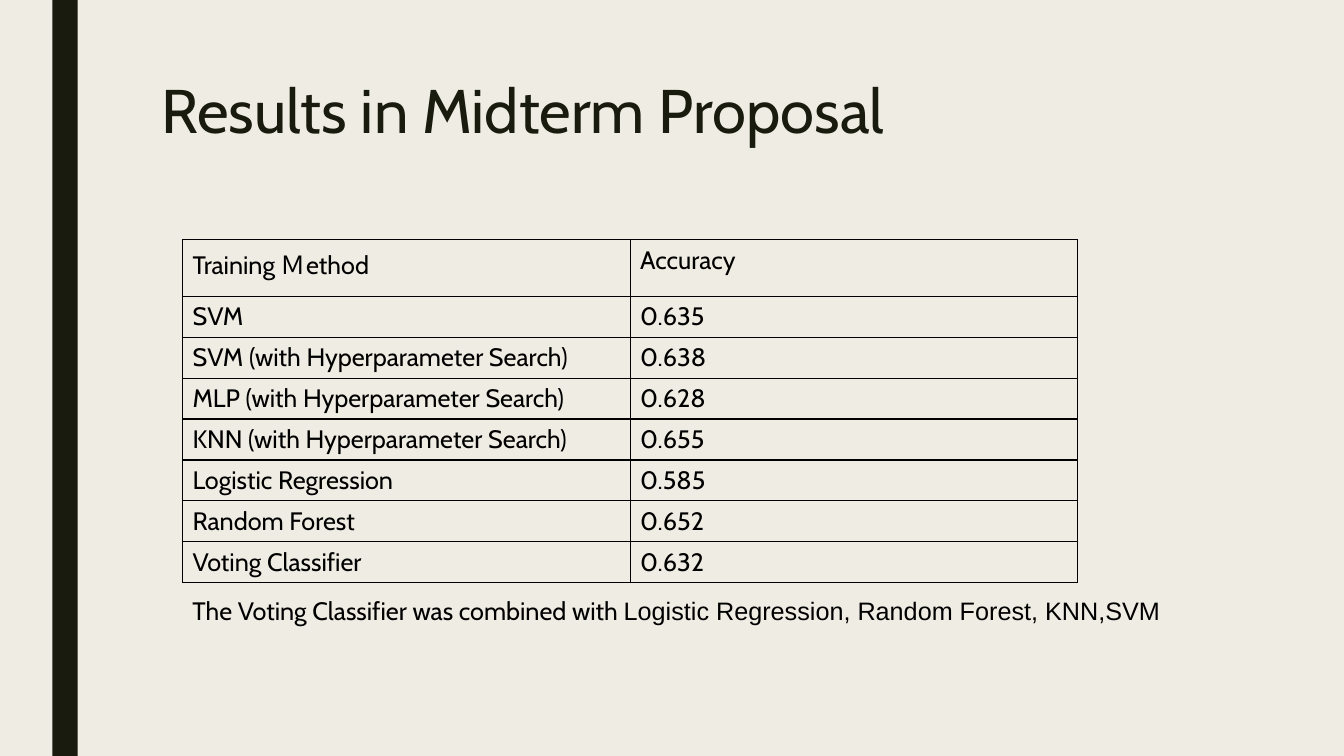
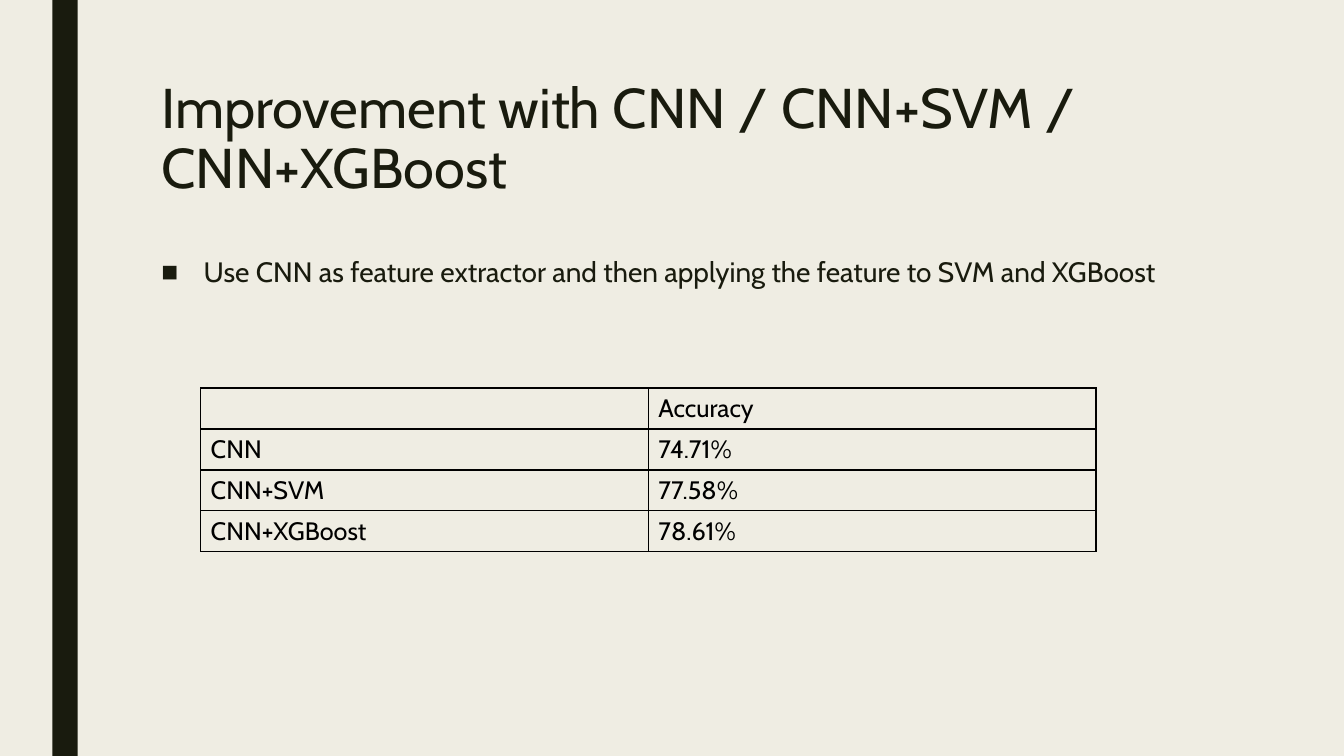
from lxml import etree
from pptx import Presentation, util as u
from pptx.dml.color import RGBColor
from pptx.enum import shapes, text
from pptx.oxml.ns import qn

WIDTH, HEIGHT = 13.33, 7.5
PAPER, INK, BLACK = "EFEDE3", "191B0E", "000000"
FONT = "Cabin"
MARGIN, CONTENT_WIDTH = 1.5, 10.5
COLUMN, ROW = 4.44, 0.406

MIDTERM = [
    ("Training Ｍethod", "Accuracy"),
    ("SVM", "0.635"),
    ("SVM (with Hyperparameter Search)", "0.638"),
    ("MLP (with Hyperparameter Search)", "0.628"),
    ("KNN (with Hyperparameter Search)", "0.655"),
    ("Logistic Regression", "0.585"),
    ("Random Forest", "0.652"),
    ("Voting Classifier", "0.632"),
]
VOTING_NOTE = [
    ("The Voting Classifier was combined with ", FONT),
    ("Logistic Regression, Random Forest, KNN,SVM", "Arial"),
]
IMPROVED = [
    ("", "Accuracy"),
    ("CNN", "74.71%"),
    ("CNN+SVM", "77.58%"),
    ("CNN+XGBoost", "78.61%"),
]
EXTRACTOR = "Use CNN as feature extractor and then applying the feature to SVM and XGBoost"


def rgb(value):
    return RGBColor.from_string(value)


def box(*lengths):
    return [u.Inches(length) for length in lengths]


def style(font, size, color, name=FONT):
    font.size, font.color.rgb = u.Pt(size), rgb(color)
    if name:
        font.name = name


def fill_placeholder(holder, words, place, size, spacing, bullet=None):
    holder.left, holder.top, holder.width, holder.height = box(*place)
    frame = holder.text_frame
    frame.text = words
    frame.auto_size = text.MSO_AUTO_SIZE.NONE
    frame.vertical_anchor = text.MSO_ANCHOR.TOP
    paragraph = frame.paragraphs[0]
    if bullet:
        properties = paragraph._p.get_or_add_pPr()
        properties.set("marL", str(u.Inches(0.42)))
        properties.set("indent", str(u.Inches(-0.42)))
        etree.SubElement(properties, qn("a:buChar")).set("char", bullet)
    paragraph.alignment = text.PP_ALIGN.LEFT
    paragraph.line_spacing = spacing
    paragraph.space_before = u.Pt(0)
    style(paragraph.font, size, INK)


def add_master_band(deck, slide):
    master = deck.slide_master
    master.background.fill.solid()
    master.background.fill.fore_color.rgb = rgb(PAPER)
    band = slide.shapes.add_shape(shapes.MSO_SHAPE.RECTANGLE, *box(0.52, 0, 0.25, HEIGHT))
    band.shadow.inherit = False
    band.fill.solid()
    band.fill.fore_color.rgb = rgb(INK)
    band.line.fill.background()
    master.shapes._spTree.insert(2, band._element)


def add_titled_slide(deck, layout, title, size):
    slide = deck.slides.add_slide(deck.slide_layouts.get_by_name(layout))
    fill_placeholder(slide.shapes.title, title, (MARGIN, 0.75, CONTENT_WIDTH, 1.62), size, 0.89)
    return slide


def add_borders(cell):
    properties = cell._tc.get_or_add_tcPr()
    for position, side in enumerate(("lnL", "lnR", "lnT", "lnB")):
        line = etree.Element(qn(f"a:{side}"), w=str(u.Pt(1)))
        solid = etree.SubElement(line, qn("a:solidFill"))
        etree.SubElement(solid, qn("a:srgbClr"), val=BLACK)
        properties.insert(position, line)


def add_results(slide, results, left, top, header=ROW):
    heights = [header] + [ROW] * (len(results) - 1)
    frame = slide.shapes.add_table(
        len(results), 2, *box(left, top, 2 * COLUMN, sum(heights)))
    table = frame.table
    table.first_row = table.horz_banding = False
    for column in table.columns:
        column.width = u.Inches(COLUMN)
    for row, height, values in zip(table.rows, heights, results):
        row.height = u.Inches(height)
        for cell, value in zip(row.cells, values):
            cell.text = value
            cell.fill.background()
            add_borders(cell)
            style(cell.text_frame.paragraphs[0].font, 18, BLACK)


def add_note(slide, parts, left, top):
    frame = slide.shapes.add_textbox(*box(left, top, 10.25, 0.4)).text_frame
    frame.word_wrap = False
    frame.auto_size = text.MSO_AUTO_SIZE.SHAPE_TO_FIT_TEXT
    paragraph = frame.paragraphs[0]
    style(paragraph.font, 18, BLACK, None)
    for words, name in parts:
        run = paragraph.add_run()
        run.text, run.font.name = words, name


def main():
    deck = Presentation()
    deck.slide_width, deck.slide_height = box(WIDTH, HEIGHT)

    midterm = add_titled_slide(deck, "Title Only", "Results in Midterm Proposal", 44)
    add_master_band(deck, midterm)
    add_results(midterm, MIDTERM, 1.81, 2.38, 0.56)
    add_note(midterm, VOTING_NOTE, 1.81, 5.86)

    improvement = add_titled_slide(
        deck, "Title and Content", "Improvement with CNN / CNN+SVM / CNN+XGBoost", 40)
    fill_placeholder(improvement.placeholders[1], EXTRACTOR,
                     (MARGIN, 2.5, CONTENT_WIDTH, 3.92), 20, 0.94, "■")
    add_results(improvement, IMPROVED, 1.99, 3.85)

    deck.save("out.pptx")


if __name__ == "__main__":
    main()
